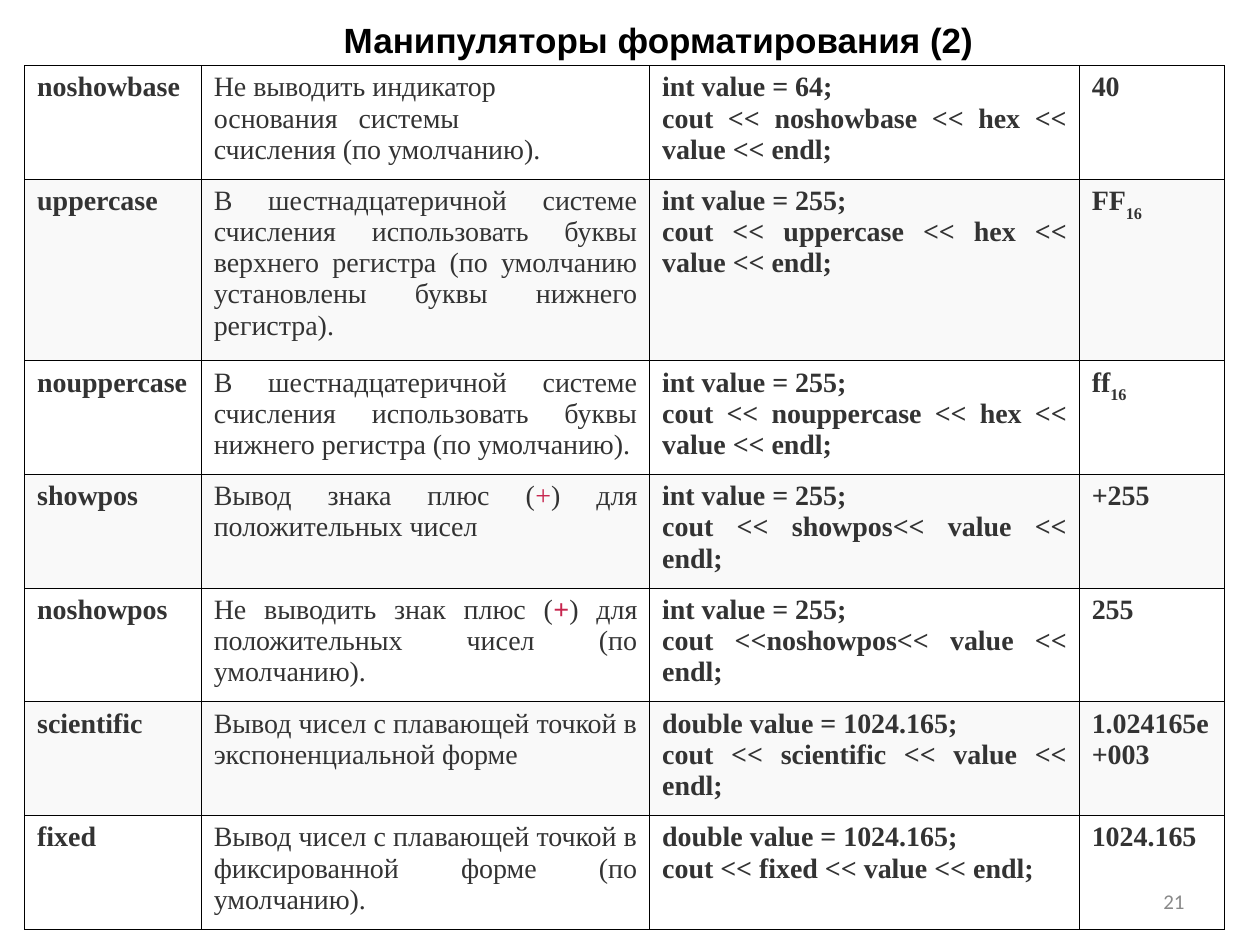
from dataclasses import dataclass
from typing import Optional

from lxml import etree
from pptx import Presentation
from pptx.dml.color import RGBColor
from pptx.enum.text import MSO_ANCHOR, PP_ALIGN
from pptx.oxml.ns import qn
from pptx.util import Cm, Pt

MIDDLE = MSO_ANCHOR.MIDDLE
LEFT = PP_ALIGN.LEFT
RIGHT = PP_ALIGN.RIGHT
JUSTIFY = PP_ALIGN.JUSTIFY


@dataclass(frozen=True)
class TextStyle:
    font: str
    size: float
    color: str
    bold: bool = False


@dataclass(frozen=True)
class Theme:
    title: TextStyle = TextStyle("Arial", 20, "000000", True)
    body: TextStyle = TextStyle("Times New Roman", 16, "333333")
    strong: TextStyle = TextStyle("Times New Roman", 16, "333333", True)
    plus: TextStyle = TextStyle("Times New Roman", 16, "C7254E")
    strong_plus: TextStyle = TextStyle("Times New Roman", 16, "C7254E", True)
    number: TextStyle = TextStyle("Calibri", 12, "898989")
    row_fills: tuple = ("FFFFFF", "F9F9F9")
    border: str = "000000"
    border_width: float = 0.45


THEME = Theme()


@dataclass(frozen=True)
class Piece:
    text: str
    style: TextStyle
    subscript: bool = False


@dataclass(frozen=True)
class Manipulator:
    name: str
    description: str
    code: str
    output: str
    base: str = ""
    plus_style: Optional[TextStyle] = None
    height: float = 2.29


MANIPULATORS = [
    Manipulator("noshowbase ",
                "Не выводить индикатор\nоснования   системы\nсчисления (по умолчанию).",
                "int value = 64;\ncout << noshowbase << hex << value << endl;", "40"),
    Manipulator("uppercase",
                "В шестнадцатеричной системе счисления использовать буквы верхнего "
                "регистра (по умолчанию установлены буквы нижнего регистра).",
                "int value = 255;\ncout << uppercase << hex << value << endl;",
                "FF", base="16", height=3.66),
    Manipulator("nouppercase ",
                "В шестнадцатеричной системе счисления использовать буквы нижнего "
                "регистра (по умолчанию).",
                "int value = 255;\ncout << nouppercase << hex << value << endl;",
                "ff", base="16"),
    Manipulator("showpos", "Вывод знака плюс (+) для положительных чисел",
                "int value = 255;\ncout << showpos<< value << endl;",
                "+255", plus_style=THEME.plus),
    Manipulator("noshowpos",
                "Не выводить знак плюс (+) для положительных чисел (по умолчанию).",
                "int value = 255;\ncout <<noshowpos<< value << endl;",
                "255", plus_style=THEME.strong_plus),
    Manipulator("scientific", "Вывод чисел с плавающей точкой в экспоненциальной форме",
                "double value = 1024.165;\ncout << scientific << value << endl;",
                "1.024165e+003"),
    Manipulator("fixed",
                "Вывод чисел с плавающей точкой в фиксированной форме (по умолчанию).",
                "double value = 1024.165;\ncout << fixed << value << endl;", "1024.165"),
]
COLUMN_WIDTHS = [3.56, 9.04, 8.66, 2.92]


def format_run(run, style: TextStyle, subscript: bool = False) -> None:
    run.font.name = style.font
    run.font.size = Pt(style.size)
    run.font.bold = style.bold
    run.font.color.rgb = RGBColor.from_string(style.color)
    if subscript:
        run._r.get_or_add_rPr().set("baseline", "-30000")


def write_text(text_frame, pieces: list[Piece], alignment) -> None:
    first, *others = pieces
    text_frame.text = first.text
    for paragraph in text_frame.paragraphs:
        paragraph.alignment = alignment
        format_run(paragraph.runs[0], first.style, first.subscript)
    for piece in others:
        run = text_frame.paragraphs[-1].add_run()
        run.text = piece.text
        format_run(run, piece.style, piece.subscript)


def add_label(slide, text: str, style: TextStyle, alignment, left: float, top: float,
              width: float, height: float, wrap: bool = True) -> None:
    shape = slide.shapes.add_textbox(Cm(left), Cm(top), Cm(width), Cm(height))
    shape.text_frame.word_wrap = wrap
    shape.text_frame.vertical_anchor = MIDDLE
    write_text(shape.text_frame, [Piece(text, style)], alignment)


def describe(manipulator: Manipulator) -> list[Piece]:
    if manipulator.plus_style is None:
        return [Piece(manipulator.description, THEME.body)]
    before, plus, after = manipulator.description.partition("+")
    return [Piece(before, THEME.body), Piece(plus, manipulator.plus_style),
            Piece(after, THEME.body)]


def row_contents(manipulator: Manipulator) -> list[list[Piece]]:
    output = [Piece(manipulator.output, THEME.strong)]
    if manipulator.base:
        output.append(Piece(manipulator.base, THEME.strong, subscript=True))
    return [[Piece(manipulator.name, THEME.strong)], describe(manipulator),
            [Piece(manipulator.code, THEME.strong)], output]


def format_cell(cell, fill: str) -> None:
    cell.margin_left = cell.margin_right = Cm(0.25)
    cell.margin_top = cell.margin_bottom = Cm(0.13)
    properties = cell._tc.get_or_add_tcPr()
    for side in ("a:lnL", "a:lnR", "a:lnT", "a:lnB"):
        line = etree.SubElement(properties, qn(side), w=str(Pt(THEME.border_width)))
        solid = etree.SubElement(line, qn("a:solidFill"))
        etree.SubElement(solid, qn("a:srgbClr"), val=THEME.border)
    cell.fill.solid()
    cell.fill.fore_color.rgb = RGBColor.from_string(fill)


def add_manipulator_table(slide, left: float, top: float) -> None:
    height = sum(manipulator.height for manipulator in MANIPULATORS)
    table = slide.shapes.add_table(len(MANIPULATORS), len(COLUMN_WIDTHS), Cm(left), Cm(top),
                                   Cm(sum(COLUMN_WIDTHS)), Cm(height)).table
    table.first_row = False
    table.horz_banding = False
    for column, width in zip(table.columns, COLUMN_WIDTHS):
        column.width = Cm(width)
    for index, (row, manipulator) in enumerate(zip(table.rows, MANIPULATORS)):
        row.height = Cm(manipulator.height)
        for cell, pieces in zip(row.cells, row_contents(manipulator)):
            format_cell(cell, THEME.row_fills[index % 2])
            write_text(cell.text_frame, pieces, JUSTIFY)


def main() -> None:
    presentation = Presentation()
    presentation.slide_width = Cm(25.4)
    presentation.slide_height = Cm(19.05)
    slide = presentation.slides.add_slide(presentation.slide_layouts[6])
    add_label(slide, "Манипуляторы форматирования (2)", THEME.title, LEFT,
              6.68, 0.23, 13.2, 1.12, wrap=False)
    add_manipulator_table(slide, 0.5, 1.32)
    add_label(slide, "21", THEME.number, RIGHT, 18.21, 17.65, 5.92, 1.02)
    presentation.save("out.pptx")


if __name__ == "__main__":
    main()
